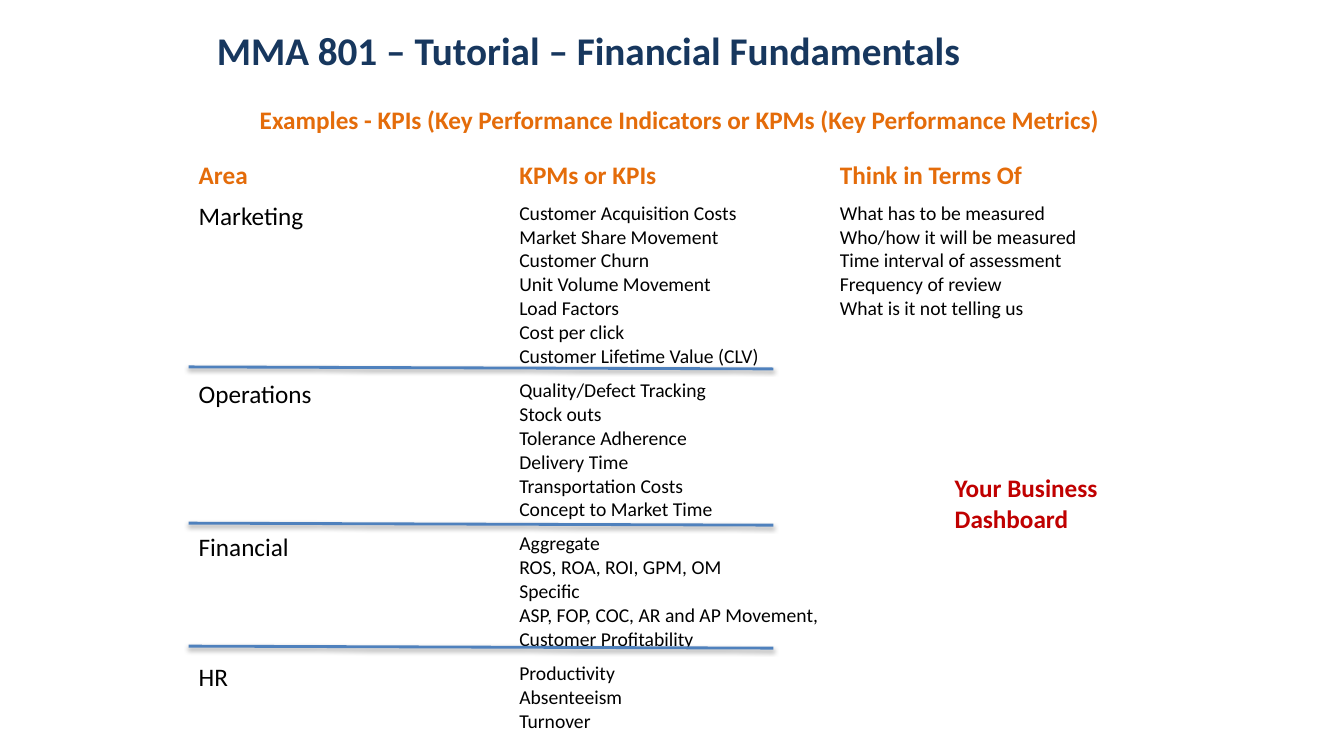
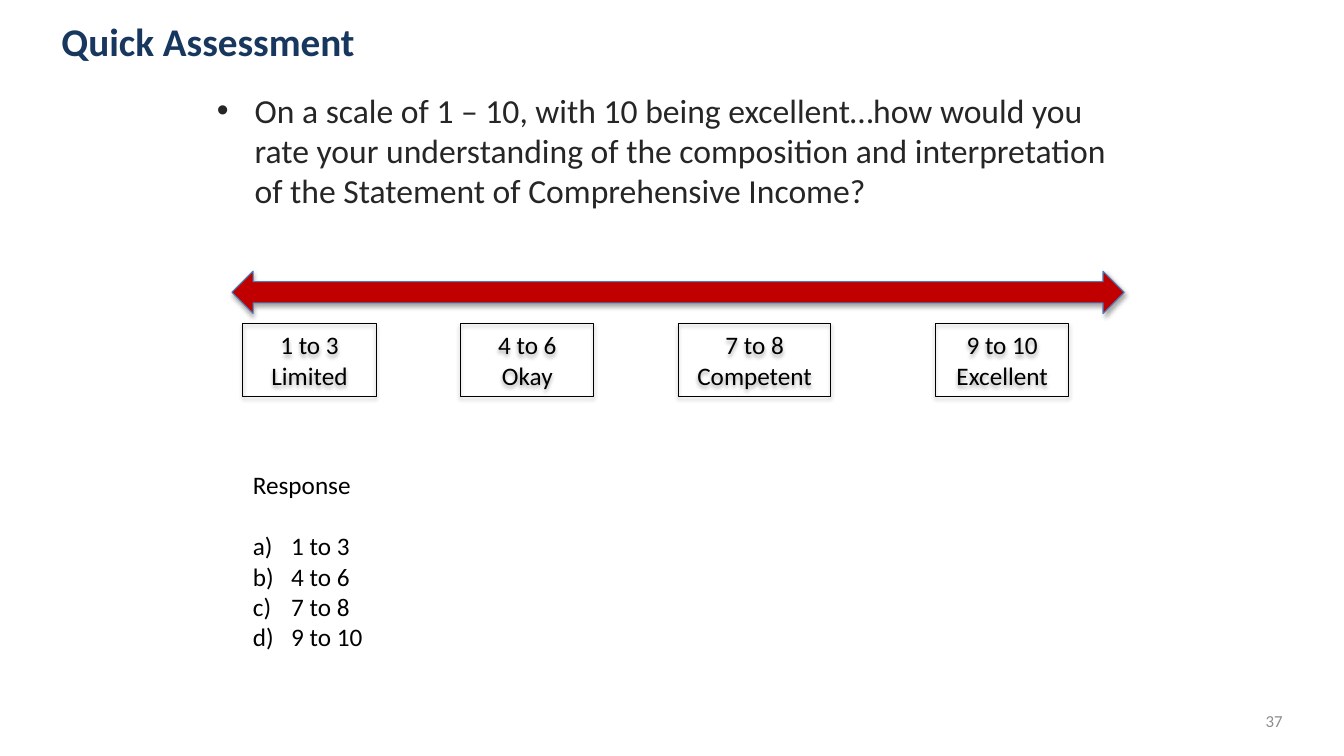
"""Build two tutorial slides: a KPI table and a quick assessment scale."""
from lxml import etree
from pptx import Presentation
from pptx.dml.color import RGBColor
from pptx.enum.shapes import MSO_CONNECTOR, MSO_SHAPE
from pptx.enum.text import MSO_ANCHOR, PP_ALIGN
from pptx.oxml.ns import qn
from pptx.util import Inches, Pt

LEFT, CENTER, RIGHT = PP_ALIGN.LEFT, PP_ALIGN.CENTER, PP_ALIGN.RIGHT
MIDDLE = MSO_ANCHOR.MIDDLE
LINE = MSO_CONNECTOR.STRAIGHT
ARROW, RECT = MSO_SHAPE.LEFT_RIGHT_ARROW, MSO_SHAPE.RECTANGLE


class Theme:
    face = "Calibri"
    black = RGBColor.from_string("000000")
    red = RGBColor.from_string("C00000")
    rule = RGBColor.from_string("4F81BD")
    edge = RGBColor.from_string("4B7EBC")
    orange = RGBColor.from_string("E46C0A")
    title = {"size": Pt(28), "bold": True}, RGBColor.from_string("17375E")
    lead = {"size": Pt(24), "bold": False}, RGBColor.from_string("262626")
    head = {"size": Pt(18), "bold": True}, orange
    alert = {"size": Pt(18), "bold": True}, red
    label = {"size": Pt(18), "bold": False}, black
    small = {"size": Pt(14), "bold": False}, black
    page = {"size": Pt(12), "bold": False}, RGBColor.from_string("8C8C8C")


def write(frame, lines, style, align=LEFT):
    form, color = style
    frame.word_wrap = True
    frame.text = "\n".join(lines)
    for para in frame.paragraphs:
        para.alignment = align
        for run in para.runs:
            run.font.name = Theme.face
            run.font.color.rgb = color
            for key, value in form.items():
                setattr(run.font, key, value)


def shade(shape, alpha, gap):
    effects = etree.SubElement(shape._element.spPr, qn("a:effectLst"))
    shadow = etree.SubElement(
        effects, qn("a:outerShdw"), blurRad=str(Pt(3.1)), dist=str(Pt(gap)),
        dir="5400000", rotWithShape="0")
    color = etree.SubElement(shadow, qn("a:srgbClr"), val=str(Theme.black))
    etree.SubElement(color, qn("a:alpha"), val=str(alpha * 1000))


deck = Presentation()
deck.slide_width, deck.slide_height = Inches(13.33), Inches(7.5)
kpis = deck.slides.add_slide(deck.slide_layouts[5])
quiz = deck.slides.add_slide(deck.slide_layouts[1])

titles = [
    (kpis, "MMA 801 – Tutorial – Financial Fundamentals", (2.05, 0.14, 8.2, 0.71)),
    (quiz, "Quick Assessment", (0.51, 0.05, 10.94, 0.71)),
]
for slide, text, place in titles:
    title = slide.shapes.title
    title.left, title.top, title.width, title.height = map(Inches, place)
    title.text_frame.vertical_anchor = MIDDLE
    write(title.text_frame, [text], Theme.title)

rows = [
    (0.41, ["Area"], ["KPMs or KPIs"], ["Think in Terms Of"]),
    (1.76, ["Marketing"],
     ["Customer Acquisition Costs", "Market Share Movement", "Customer Churn",
      "Unit Volume Movement", "Load Factors", "Cost per click",
      "Customer Lifetime Value (CLV)"],
     ["What has to be measured", "Who/how it will be measured",
      "Time interval of assessment", "Frequency of review",
      "What is it not telling us"]),
    (1.52, ["Operations"],
     ["Quality/Defect Tracking", "Stock outs", "Tolerance Adherence",
      "Delivery Time", "Transportation Costs", "Concept to Market Time"], []),
    (1.29, ["Financial"],
     ["Aggregate", "ROS, ROA, ROI, GPM, OM", "Specific",
      "ASP, FOP, COC, AR and AP Movement,", "Customer Profitability"], []),
    (0.81, ["HR"], ["Productivity", "Absenteeism", "Turnover"], []),
]
grid = kpis.shapes.add_table(
    len(rows), 3, Inches(1.87), Inches(1.54), Inches(9.54), Inches(5.79)).table
grid.first_row = grid.horz_banding = False
for r, (height, *cells) in enumerate(rows):
    grid.rows[r].height = Inches(height)
    for c, lines in enumerate(cells):
        cell = grid.cell(r, c)
        cell.fill.background()
        style = Theme.head if r == 0 else Theme.small if c else Theme.label
        write(cell.text_frame, lines, style)

for y in (3.64, 5.19, 6.41):
    rule = kpis.shapes.add_connector(
        LINE, Inches(1.87), Inches(y), Inches(7.67), Inches(y + 0.02))
    rule.line.color.rgb = Theme.rule
    rule.line.width = Pt(2)
    shade(rule, 38, 1.6)

notes = [
    (kpis, ["Examples - KPIs (Key Performance Indicators or KPMs (Key Performance Metrics)"],
     (2.05, 0.99, 9.38, 0.4), Theme.head, CENTER),
    (kpis, ["Your Business Dashboard"], (9.37, 4.64, 2.2, 0.71), Theme.alert, LEFT),
    (quiz, ["37"], (9.82, 6.95, 3, 0.4), Theme.page, RIGHT),
    (quiz, ["Response", "1 to 3", "4 to 6", "7 to 8", "9 to 10"],
     (2.41, 4.61, 5.68, 1.92), Theme.label, LEFT),
]
for slide, lines, place, style, align in notes:
    box = slide.shapes.add_textbox(*map(Inches, place))
    write(box.text_frame, lines, style, align)
    if style is Theme.page:
        box.text_frame.vertical_anchor = MIDDLE

first, *picks = box.text_frame.paragraphs
first.space_after = Pt(22)
for pick in picks:
    props = pick._p.get_or_add_pPr()
    props.set("marL", str(Inches(0.38)))
    props.set("indent", str(Inches(-0.38)))
    etree.SubElement(props, qn("a:buFont"), typeface="+mj-lt")
    etree.SubElement(props, qn("a:buAutoNum"), type="alphaLcParenR")

body = quiz.placeholders[1]
body.left, body.top, body.width, body.height = map(Inches, (2.05, 0.84, 9.24, 1.6))
write(body.text_frame, [
    "On a scale of 1 – 10, with 10 being excellent…how would you rate your "
    "understanding of the composition and interpretation of the Statement of "
    "Comprehensive Income?"], Theme.lead)
body.text_frame.paragraphs[0].space_before = Pt(0)

scale = quiz.shapes.add_shape(ARROW, *map(Inches, (2.3, 2.69, 8.85, 0.42)))
scale.fill.solid()
scale.fill.fore_color.rgb = Theme.red
scale.line.color.rgb = Theme.edge
scale.line.width = Pt(0.75)
shade(scale, 35, 1.8)

bands = [
    (2.41, 1.32, ["1 to 3", "Limited"]),
    (4.57, 1.32, ["4 to 6", "Okay"]),
    (6.73, 1.51, ["7 to 8", "Competent"]),
    (9.28, 1.32, ["9 to 10", "Excellent"]),
]
for x, width, lines in bands:
    band = quiz.shapes.add_shape(RECT, *map(Inches, (x, 3.21, width, 0.72)))
    band.fill.background()
    band.line.color.rgb = Theme.black
    band.line.width = Pt(0.75)
    shade(band, 35, 1.8)
    band.text_frame.vertical_anchor = MIDDLE
    write(band.text_frame, lines, Theme.label, CENTER)

deck.save("out.pptx")
